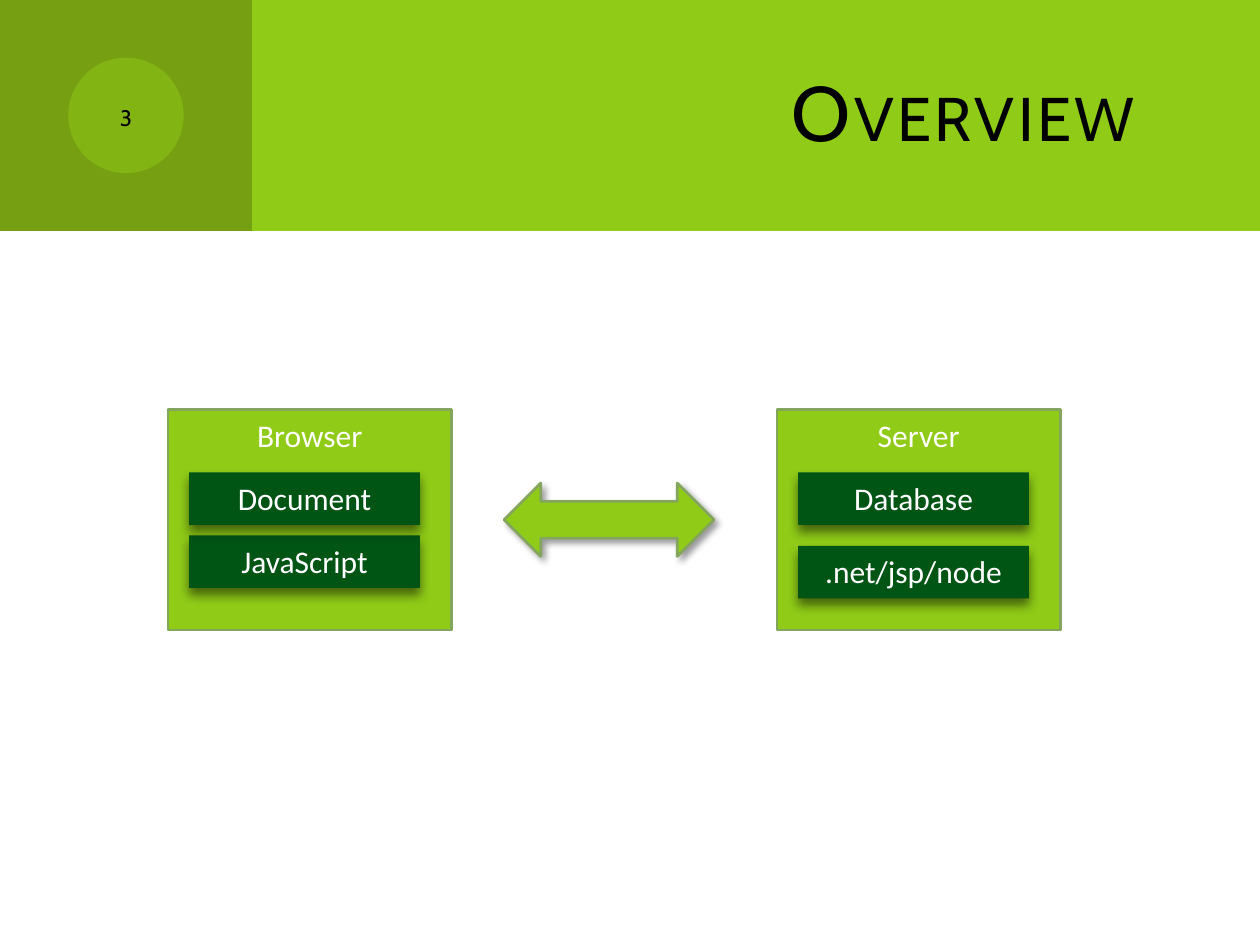
from dataclasses import dataclass

from lxml import etree
from pptx import Presentation
from pptx.dml.color import RGBColor
from pptx.enum.shapes import MSO_SHAPE
from pptx.enum.text import MSO_ANCHOR, MSO_AUTO_SIZE, PP_ALIGN
from pptx.oxml.ns import qn
from pptx.util import Inches, Pt

RECT, OVAL, ARROW = MSO_SHAPE.RECTANGLE, MSO_SHAPE.OVAL, MSO_SHAPE.LEFT_RIGHT_ARROW
TOP, MIDDLE = MSO_ANCHOR.TOP, MSO_ANCHOR.MIDDLE
CENTER, RIGHT = PP_ALIGN.CENTER, PP_ALIGN.RIGHT
NO_FIT = MSO_AUTO_SIZE.NONE

CELL = Inches(1 / 12)  # one column or row of the layout grid
COLUMNS, ROWS = 120, 90


@dataclass(frozen=True)
class Theme:
    lime: str = "8FCB17"
    olive: str = "769F11"
    forest: str = "005414"
    outline: str = "84A55E"
    ink: str = "000000"
    paper: str = "FFFFFF"
    heading_font: str = "Cabin"
    body_font: str = "Calibri"
    title_size: int = 44
    number_size: int = 16
    body_size: int = 18
    line_width: float = 1.5


def grid(*cells):
    return [round(cell * CELL) for cell in cells]


class SlideBuilder:
    def __init__(self, slide, theme):
        self.slide, self.theme = slide, theme

    def set_text(self, frame, text, size, font, color, align=CENTER, anchor=TOP, **run_xml):
        """Fill a text frame; run_xml holds run attributes such as cap and spc."""
        frame_format = {"word_wrap": True, "auto_size": NO_FIT, "vertical_anchor": anchor}
        for name, value in frame_format.items():
            setattr(frame, name, value)
        paragraph = frame.paragraphs[0]
        paragraph.alignment = align
        run = paragraph.add_run()
        run.text = text
        for name, value in {"size": Pt(size), "name": font, "bold": False}.items():
            setattr(run.font, name, value)
        run.font.color.rgb = RGBColor.from_string(color)
        for name, value in run_xml.items():
            run.font._element.set(name, value)

    def block(self, parent, kind, cells, fill, outlined=False, alpha=None, text=None):
        shape = parent.shapes.add_shape(kind, *grid(*cells))
        shape.shadow.inherit = False
        shape.fill.solid()
        shape.fill.fore_color.rgb = RGBColor.from_string(fill)
        if alpha is not None:
            color = shape._element.spPr.find(f"{qn('a:solidFill')}/{qn('a:srgbClr')}")
            etree.SubElement(color, qn("a:alpha"), val=str(alpha * 1000))
        if outlined:
            shape.line.color.rgb = RGBColor.from_string(self.theme.outline)
            shape.line.width = Pt(self.theme.line_width)
        else:
            shape.line.fill.background()
        if text:
            self.set_text(shape.text_frame, text, self.theme.body_size,
                          self.theme.body_font, self.theme.paper)
        return shape

    def cast_shadow(self, shape, opacity, blur, distance, angle):
        effects = shape._element.spPr.find(qn("a:effectLst"))
        shadow = etree.SubElement(
            effects, qn("a:outerShdw"), blurRad=str(Pt(blur)), dist=str(Pt(distance)),
            dir=str(angle * 60000), algn="ctr", rotWithShape="0")
        color = etree.SubElement(shadow, qn("a:srgbClr"), val=self.theme.ink)
        etree.SubElement(color, qn("a:alpha"), val=str(opacity * 1000))

    def header(self, height, number_width):
        band = self.slide.shapes.add_group_shape()
        self.block(band, RECT, (0, 0, COLUMNS, height), self.theme.lime)
        self.block(band, RECT, (0, 0, number_width, height), self.theme.olive)
        disc = height / 2
        self.block(band, OVAL, ((number_width - disc) / 2, (height - disc) / 2, disc, disc),
                   self.theme.lime, alpha=50)
        self.slide.shapes._spTree.insert(2, band._element)  # behind the title

    def title(self, text, cells):
        title = self.slide.shapes.title
        for name, value in zip(("left", "top", "width", "height"), grid(*cells)):
            setattr(title, name, value)
        title.text_frame.margin_right = Inches(0.27)
        self.set_text(title.text_frame, text, self.theme.title_size, self.theme.heading_font,
                      self.theme.ink, RIGHT, MIDDLE, cap="small", spc="200")

    def page_number(self, text, cells):
        box = self.slide.shapes.add_textbox(*grid(*cells))
        self.set_text(box.text_frame, text, self.theme.number_size, self.theme.heading_font,
                      self.theme.ink, anchor=MIDDLE, cap="small")

    def tier(self, name, left, top, parts):
        """Panel with its parts, given as (label, rows below the panel top)."""
        panel = self.slide.shapes.add_group_shape()
        self.block(panel, RECT, (left, top, 27, 21), self.theme.lime, True, text=name)
        for label, offset in reversed(parts):
            part = self.block(panel, RECT, (left + 2, top + offset, 22, 5),
                              self.theme.forest, text=label)
            self.cast_shadow(part, 50, 6, 4, 90)

    def exchange_arrow(self, cells):
        arrow = self.block(self.slide, ARROW, cells, self.theme.lime, True)
        self.cast_shadow(arrow, 40, 4, 3, 45)


def main():
    deck = Presentation()
    deck.slide_width, deck.slide_height = grid(COLUMNS, ROWS)
    overview = SlideBuilder(deck.slides.add_slide(deck.slide_layouts[5]), Theme())
    overview.header(22, 24)
    overview.title("Overview", (32, 3, 82, 15))
    overview.page_number("3", (7, 7, 10, 8))
    overview.tier("Browser", 16, 39, [("Document", 6), ("JavaScript", 12)])
    overview.tier("Server", 74, 39, [("Database", 6), (".net/jsp/node", 13)])
    overview.exchange_arrow((48, 46, 20, 7))
    deck.save("out.pptx")


if __name__ == "__main__":
    main()
